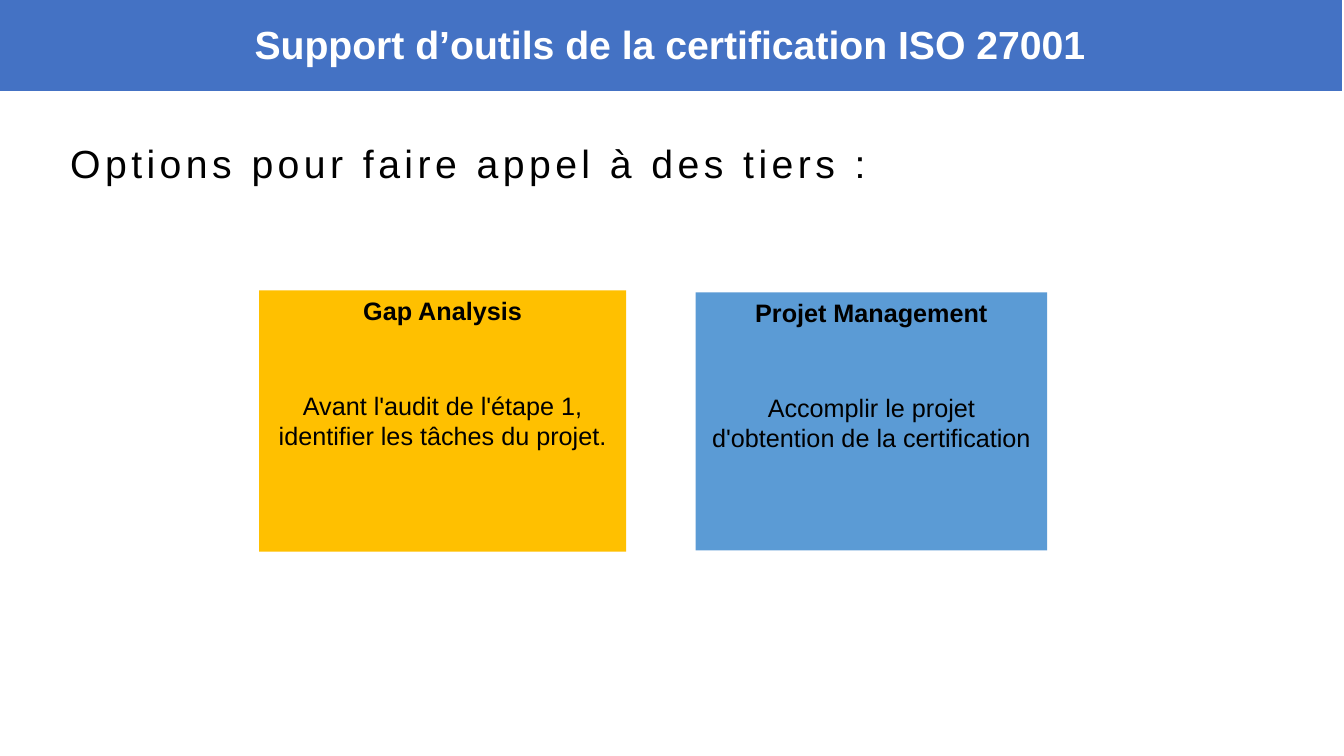
from pptx import Presentation
from pptx.dml.color import RGBColor
from pptx.enum.shapes import MSO_SHAPE
from pptx.enum.text import MSO_ANCHOR, PP_ALIGN
from pptx.util import Cm, Pt

RECT = MSO_SHAPE.RECTANGLE
TOP, MIDDLE = MSO_ANCHOR.TOP, MSO_ANCHOR.MIDDLE
LEFT, CENTER = PP_ALIGN.LEFT, PP_ALIGN.CENTER
BLACK = RGBColor(0x00, 0x00, 0x00)
WHITE = RGBColor(0xFF, 0xFF, 0xFF)
NAVY = RGBColor(0x44, 0x72, 0xC4)
SKY = RGBColor(0x5B, 0x9B, 0xD5)
GOLD = RGBColor(0xFF, 0xC0, 0x00)


class Deck:
    """Draw the banner, heading and cards of a slide in one style."""

    font = "Arial"
    large, small = 28, 18
    gap = 46

    def __init__(self, slide):
        self.slide = slide

    def label(self, para, text, size, color=BLACK, bold=False, align=CENTER):
        para.alignment = align
        run = para.add_run()
        run.text = text
        run.font.name = self.font
        run.font.size = Pt(size)
        run.font.bold = bold
        run.font.color.rgb = color
        return run

    def block(self, box, fill, anchor):
        shape = self.slide.shapes.add_shape(RECT, *map(Cm, box))
        shape.shadow.inherit = False
        shape.fill.solid()
        shape.fill.fore_color.rgb = fill
        shape.line.fill.background()
        shape.text_frame.word_wrap = True
        shape.text_frame.vertical_anchor = anchor
        return shape

    def banner(self, box, text):
        shape = self.block(box, NAVY, MIDDLE)
        shape.line.color.rgb = WHITE
        shape.line.width = Pt(1.5)
        self.label(shape.text_frame.paragraphs[0], text, self.large, WHITE, True)

    def heading(self, box, text):
        frame = self.slide.shapes.add_textbox(*map(Cm, box)).text_frame
        frame.word_wrap = False
        run = self.label(frame.paragraphs[0], text, self.large, align=LEFT)
        run.font._element.set("spc", "320")

    def card(self, box, fill, title, body):
        frame = self.block(box, fill, TOP).text_frame
        head = frame.paragraphs[0]
        head.space_after = Pt(self.gap)
        self.label(head, title, self.small, bold=True)
        self.label(frame.add_paragraph(), body, self.small)


def main():
    show = Presentation()
    show.slide_width, show.slide_height = Cm(33.87), Cm(19.05)
    deck = Deck(show.slides.add_slide(show.slide_layouts[6]))
    deck.heading((1.52, 3.38, 21.39, 1.45), "Options pour faire appel à des tiers :")
    deck.card((17.53, 7.37, 8.86, 6.5), SKY, "Projet Management",
              "Accomplir le projet d'obtention de la certification")
    deck.card((6.53, 7.32, 9.25, 6.58), GOLD, "Gap Analysis",
              "Avant l'audit de l'étape 1, identifier les tâches du projet.")
    deck.banner((-0.08, -0.08, 33.93, 2.39),
                "Support d’outils de la certification ISO 27001")
    show.save("out.pptx")


if __name__ == "__main__":
    main()
